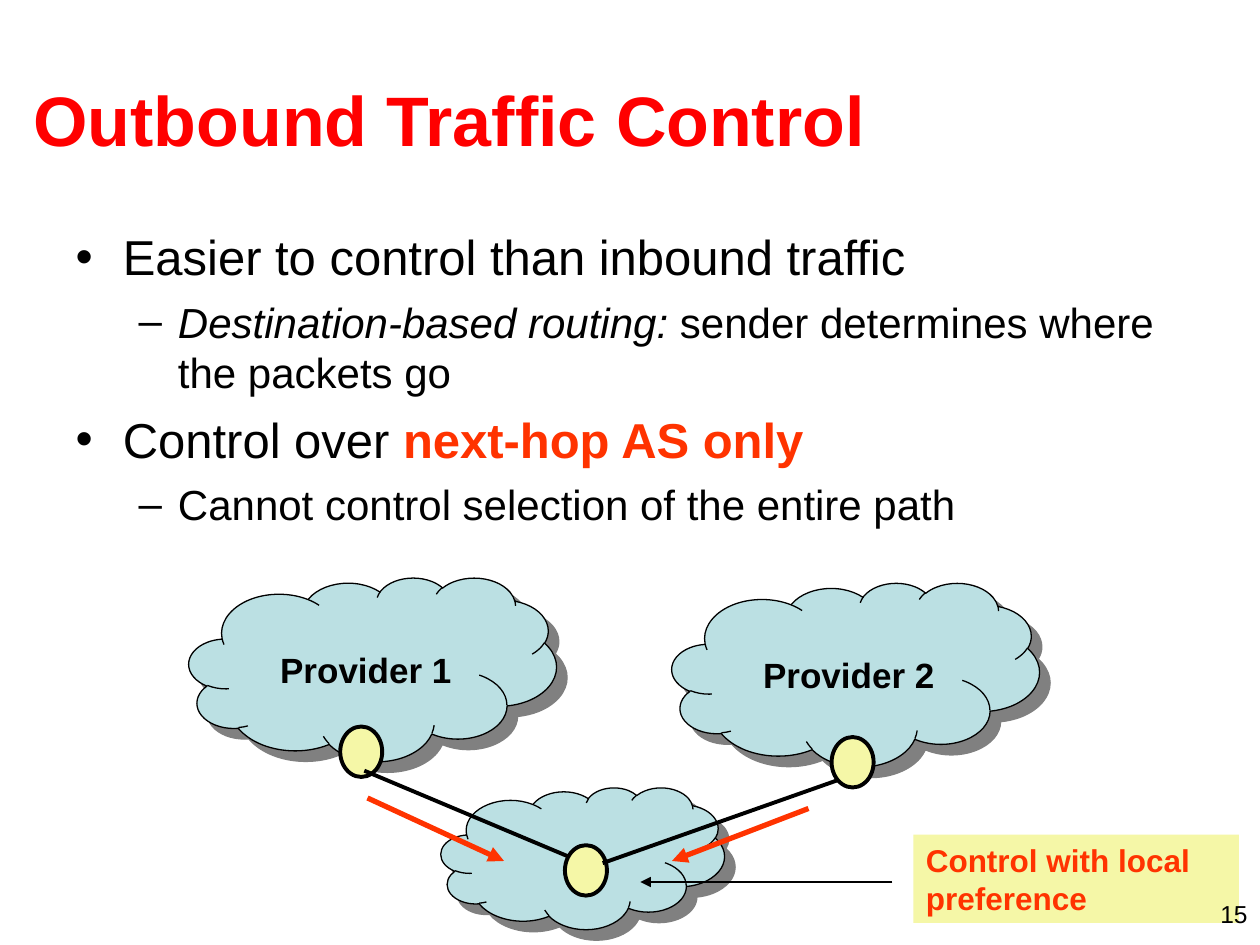
from collections import namedtuple

from lxml.etree import SubElement
from pptx import Presentation
from pptx.dml.color import RGBColor
from pptx.enum.shapes import MSO_CONNECTOR, MSO_SHAPE
from pptx.enum.text import MSO_ANCHOR, MSO_AUTO_SIZE, PP_ALIGN
from pptx.oxml.ns import qn
from pptx.util import Inches, Pt

Box = namedtuple("Box", "left top width height")

SLIDE_WIDTH, SLIDE_HEIGHT = Inches(10), Inches(7.5)
COLUMN, ROW = SLIDE_WIDTH / 120, SLIDE_HEIGHT / 90
FONT = "Arial"
BLACK = RGBColor(0x00, 0x00, 0x00)
RED = RGBColor(0xFF, 0x00, 0x00)
ORANGE = RGBColor(0xFF, 0x33, 0x00)
CLOUD_BLUE = RGBColor(0xBB, 0xE0, 0xE3)
PALE_YELLOW = RGBColor(0xF5, 0xF7, 0xA7)
SHADOW_GREY = RGBColor(0x80, 0x80, 0x80)

BULLETS = [
    (0, [("Easier to control than inbound traffic", {})]),
    (1, [("Destination-based routing: ", {"italic": True}),
         ("sender determines where the packets go", {})]),
    (0, [("Control over ", {}),
         ("next-hop AS only", {"color": ORANGE, "bold": True})]),
    (1, [("Cannot control selection of the entire path", {})]),
]
LEVEL_SIZES = (28, 24)
LEVEL_SPACES = (7, 6)


def place(box):
    """Convert a box of grid columns and rows to slide lengths."""
    return (int(box.left * COLUMN), int(box.top * ROW),
            int(box.width * COLUMN), int(box.height * ROW))


def inside(box, left, top, width=0, height=0):
    """Return a box offset from the corner of another box."""
    return Box(box.left + left, box.top + top, width, height)


def add_run(paragraph, text, size, color=BLACK, bold=False, italic=False):
    """Append one formatted run to a paragraph."""
    run = paragraph.add_run()
    run.text = text
    font = run.font
    font.name, font.size = FONT, Pt(size)
    font.bold, font.italic = bold, italic
    font.color.rgb = color


def add_text_box(slide, box, text, size, alignment, wrap=True, bold=False):
    """Add a text box with a single run."""
    frame = slide.shapes.add_textbox(*place(box)).text_frame
    frame.word_wrap = wrap
    paragraph = frame.paragraphs[0]
    paragraph.alignment = alignment
    add_run(paragraph, text, size, bold=bold)


def add_filled_shape(slide, kind, box, fill, line_width=None):
    """Add a preset shape with a plain fill and an optional black outline."""
    shape = slide.shapes.add_shape(kind, *place(box))
    shape.shadow.inherit = False
    shape.fill.solid()
    shape.fill.fore_color.rgb = fill
    if line_width is None:
        shape.line.fill.background()
    else:
        shape.line.color.rgb = BLACK
        shape.line.width = Pt(line_width)
    return shape


def add_line(slide, start, end, color, width, arrow=False):
    """Draw a straight line between two grid points."""
    points = [int(length) for column, row in (start, end)
              for length in (column * COLUMN, row * ROW)]
    connector = slide.shapes.add_connector(MSO_CONNECTOR.STRAIGHT, *points)
    connector.line.color.rgb = color
    connector.line.width = Pt(width)
    properties = connector.element.spPr
    if arrow:
        SubElement(properties.find(qn("a:ln")), qn("a:tailEnd"), type="triangle")
    SubElement(properties, qn("a:effectLst"))


def add_title(slide, box):
    """Fill the title placeholder."""
    title = slide.shapes.title
    title.left, title.top, title.width, title.height = place(box)
    frame = title.text_frame
    frame.auto_size = MSO_AUTO_SIZE.NONE
    frame.vertical_anchor = MSO_ANCHOR.MIDDLE
    paragraph = frame.paragraphs[0]
    paragraph.alignment = PP_ALIGN.LEFT
    add_run(paragraph, "Outbound Traffic Control", 40, RED, bold=True)


def add_bullets(slide, box):
    """Fill the body placeholder with the two-level list."""
    body = slide.placeholders[1]
    body.left, body.top, body.width, body.height = place(box)
    frame = body.text_frame
    frame.auto_size = MSO_AUTO_SIZE.NONE
    for index, (level, runs) in enumerate(BULLETS):
        paragraph = frame.add_paragraph() if index else frame.paragraphs[0]
        paragraph.level = level
        paragraph.space_before = Pt(LEVEL_SPACES[level] if index else 0)
        for text, style in runs:
            add_run(paragraph, text, LEVEL_SIZES[level], **style)


def add_cloud(slide, box):
    """Draw a network cloud with a hard diagonal shadow."""
    cloud = add_filled_shape(slide, MSO_SHAPE.CLOUD, box, CLOUD_BLUE, 0.75)
    effects = cloud.element.spPr.find(qn("a:effectLst"))
    shadow = SubElement(effects, qn("a:outerShdw"), dist=str(Pt(8.5)),
                        dir="2700000", algn="ctr", rotWithShape="0")
    SubElement(shadow, qn("a:srgbClr"), val=str(SHADOW_GREY))


def add_router(slide, box):
    """Draw a router as an outlined ellipse."""
    add_filled_shape(slide, MSO_SHAPE.OVAL, box, PALE_YELLOW, 2.25)


def add_provider(slide, box, name, router_left, router_top):
    """Draw a provider cloud with its name and border router."""
    add_cloud(slide, box)
    add_text_box(slide, inside(box, 7.5, 6.15, 18.7, 5.3), name, 20,
                 PP_ALIGN.CENTER, wrap=False, bold=True)
    add_router(slide, inside(box, router_left, router_top, 4, 4.8))


def add_network(slide, box):
    """Draw the customer cloud, both providers and the traffic between them."""
    add_cloud(slide, inside(box, 24, 20, 27, 13.5))
    add_provider(slide, inside(box, 0, 0, 35, 17.5), "Provider 1", 14.4, 14.2)
    add_provider(slide, inside(box, 46, 0.5, 35, 17.5), "Provider 2", 15.2, 14.7)
    add_router(slide, inside(box, 35.8, 25.5, 4, 4.8))
    for start, end, color, width, arrow in (
        ((16.7, 18.4), (36.2, 26.6), BLACK, 2.25, False),
        ((39.4, 27.2), (61.8, 19.3), BLACK, 2.25, False),
        ((17, 21), (30, 27), ORANGE, 3, True),
        ((59, 22), (46, 27), ORANGE, 3, True),
    ):
        add_line(slide, inside(box, *start)[:2], inside(box, *end)[:2],
                 color, width, arrow)


def add_callout(slide, box):
    """Draw the note and its pointer to the customer cloud."""
    note = add_filled_shape(slide, MSO_SHAPE.RECTANGLE, box, PALE_YELLOW)
    frame = note.text_frame
    frame.word_wrap = True
    frame.vertical_anchor = MSO_ANCHOR.TOP
    paragraph = frame.paragraphs[0]
    paragraph.alignment = PP_ALIGN.LEFT
    add_run(paragraph, "Control with local preference", 18, ORANGE, bold=True)
    add_line(slide, inside(box, -2, 4.5)[:2], inside(box, -26, 4.5)[:2],
             BLACK, 0.75, arrow=True)


def main():
    """Build and save the slide."""
    presentation = Presentation()
    presentation.slide_width, presentation.slide_height = SLIDE_WIDTH, SLIDE_HEIGHT
    slide = presentation.slides.add_slide(presentation.slide_layouts[1])
    add_title(slide, Box(2, 3.8, 115, 15))
    add_bullets(slide, Box(6, 21, 108, 59.4))
    add_network(slide, Box(18, 55, 81, 33.5))
    add_callout(slide, Box(87, 79.5, 31, 8.4))
    add_text_box(slide, Box(92, 85, 28, 3), "15", 14, PP_ALIGN.RIGHT)
    presentation.save("out.pptx")


if __name__ == "__main__":
    main()
